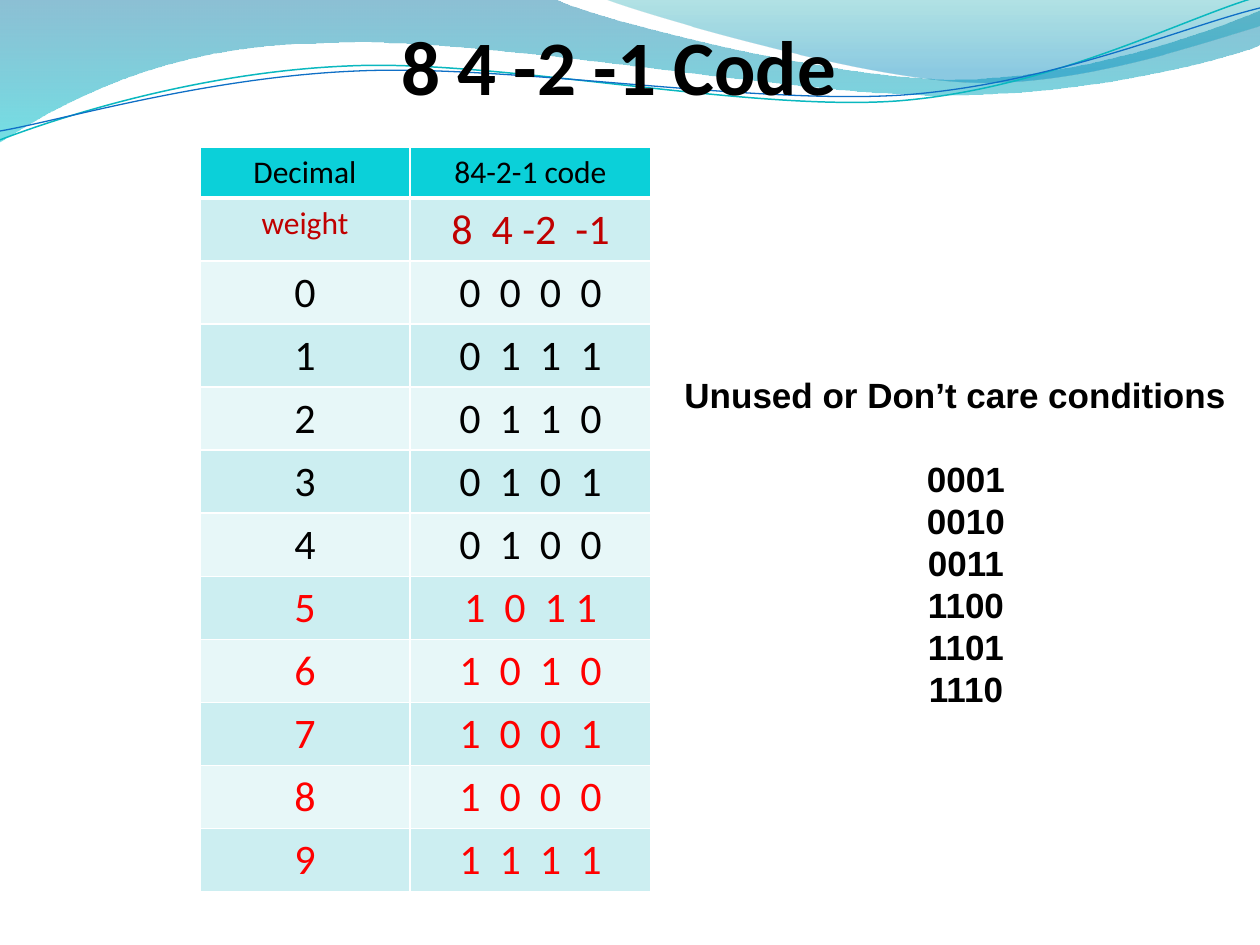
from math import cos, radians, sin

from lxml.etree import SubElement
from pptx import Presentation
from pptx.dml.color import RGBColor
from pptx.enum.text import PP_ALIGN as Align
from pptx.oxml.ns import qn
from pptx.util import Pt

SCALE = 914400 / 126
BLACK, WHITE, RED, DARK_RED = "000000", "FFFFFF", "FF0000", "C00000"
HEADER_FILL, BANDS = "0BD0D9", ("E7F7F8", "CCEEF1")
TILT = -2.7

# An outline is a start point, then steps: two numbers for a line, six for a curve.
WAVES = [
    dict(start=(0, -1),
         steps=[(554, -1), (600, 21, 837, 79, 955, 79), (1075, 79, 1207, 33, 1260, 11),
                (1261, 45), (1239, 55, 1096, 96, 940, 95), (784, 95, 481, 35, 324, 43),
                (163, 44, 58, 105, -1, 142), (0, -1)],
         stops=[(0, "0074A1", 45), (1, "00C6CF", 55)]),
    dict(start=(604, -1),
         steps=[(641, 14, 859, 78, 969, 82), (1079, 87, 1211, 40, 1260, 26), (1260, 0),
                (604, -1)],
         stops=[(0, "00A1A9", 30), (0.8, "008BBF", 45)]),
]
RIPPLES = [
    dict(start=(0, 140), center=(629, 72), color="0AB8BF", width=0.85,
         steps=[(60, 117, 199, 72, 349, 66), (498, 59, 747, 112, 898, 101),
                (1050, 89, 1182, 19, 1257, -3)]),
    dict(start=(0, 131), center=(629, 74), color="0F6FC6", width=0.75,
         steps=[(59, 121, 207, 77, 357, 71), (508, 64, 752, 105, 903, 95),
                (1053, 84, 1185, 26, 1260, 8)]),
]
TITLE = "8 4 -2 -1 Code"
HEADINGS = ("Decimal", "84-2-1 code")
WEIGHTS = ("weight", "8  4 -2  -1")
CODES = ["0  0  0  0", "0  1  1  1", "0  1  1  0", "0  1  0  1", "0  1  0  0",
         "1  0  1 1", "1  0  1  0", "1  0  0  1", "1  0  0  0", "1  1  1  1"]
COLUMNS, ROW_HEIGHT, TABLE_HEIGHT = (210, 241), 51, 745
UNUSED_HEADING = "Unused or Don’t care conditions"
UNUSED = ["0001", "0010", "0011", "1100", "1101", "1110"]


def px(length):
    """Turn pixels into EMU."""
    return round(length * SCALE)


def rgb(value):
    """Turn a hex string into a colour."""
    return RGBColor.from_string(value)


def turn(point, center, degrees):
    """Turn a point clockwise about a centre."""
    across, down = point[0] - center[0], point[1] - center[1]
    c, s = cos(radians(degrees)), sin(radians(degrees))
    return center[0] + across * c - down * s, center[1] + across * s + down * c


def add_outline(slide, start, steps, close, center=(0, 0), tilt=0):
    """Draw lines and cubic curves as one freeform without a shadow."""
    nodes = [start] + [step[i:i + 2] for step in steps for i in range(0, len(step), 2)]
    nodes = [turn(node, center, -tilt) for node in nodes]
    emu = [(px(x), px(y)) for x, y in nodes]
    builder = slide.shapes.build_freeform(*emu[0], scale=1.0)
    builder.add_line_segments(emu[1:], close=close)
    shape = builder.convert_to_shape()
    shape.shadow.inherit = False
    shape.rotation = tilt
    lines = iter(list(shape._element.spPr.iter(qn("a:lnTo"))))
    for step in steps:
        group = [next(lines) for _ in range(len(step) // 2)]
        if len(group) == 3:
            outline = group[0].getparent()
            curve = SubElement(outline, qn("a:cubicBezTo"))
            outline.replace(group[0], curve)
            for line in group:
                curve.append(line[0])
            for line in group[1:]:
                outline.remove(line)
    return shape


def add_wave(slide, start, steps, stops):
    """Draw a wave with a see-through gradient from top to bottom."""
    shape = add_outline(slide, start, steps, True)
    shape.line.fill.background()
    shape.fill.gradient()
    shape.fill.gradient_angle = 270
    for stop, (position, color, _) in zip(shape.fill.gradient_stops, stops):
        stop.position = position
        stop.color.rgb = rgb(color)
    colors = shape._element.spPr.iter(qn("a:srgbClr"))
    for node, (_, _, opacity) in zip(list(colors), stops):
        SubElement(node, qn("a:alpha"), val=str(opacity * 1000))


def add_ripple(slide, start, center, steps, color, width):
    """Draw a thin, slightly tilted curved line."""
    shape = add_outline(slide, start, steps, False, center, TILT)
    shape.fill.background()
    shape.line.color.rgb = rgb(color)
    shape.line.width = Pt(width)


def add_span(para, text, size, font="Calibri", color=BLACK, bold=False):
    """Add one formatted run."""
    span = para.add_run()
    span.text = text
    span.font.size, span.font.name, span.font.bold = Pt(size), font, bold
    span.font.color.rgb = rgb(color)


def fill_cell(cell, text, size, color, fill, bottom):
    """Write a centred cell with white borders."""
    para = cell.text_frame.paragraphs[0]
    para.alignment = Align.CENTER
    add_span(para, text, size, color=color)
    properties = cell._tc.get_or_add_tcPr()
    for side, width in (("L", 1), ("R", 1), ("T", 1), ("B", bottom)):
        border = SubElement(properties, qn(f"a:ln{side}"), w=str(Pt(width)))
        SubElement(SubElement(border, qn("a:solidFill")), qn("a:srgbClr"), val=WHITE)
    cell.fill.solid()
    cell.fill.fore_color.rgb = rgb(fill)


def add_code_table(slide):
    """Add the table of decimal digits and their codes."""
    rows = [(HEADINGS, (18, 18), BLACK), (WEIGHTS, (18, 24), DARK_RED)]
    rows += [((str(digit), code), (24, 24), BLACK if digit < 5 else RED)
             for digit, code in enumerate(CODES)]
    frame = slide.shapes.add_table(len(rows), len(COLUMNS), px(200), px(147),
                                   px(sum(COLUMNS)), px(TABLE_HEIGHT))
    table = frame.table
    for column, width in zip(table.columns, COLUMNS):
        column.width = px(width)
    for index, (texts, sizes, color) in enumerate(rows):
        header = index == 0
        table.rows[index].height = px(ROW_HEIGHT)
        fill = HEADER_FILL if header else BANDS[index % 2]
        for column, (text, size) in enumerate(zip(texts, sizes)):
            fill_cell(table.cell(index, column), text, size, color, fill, 3 if header else 1)
    frame.height = px(TABLE_HEIGHT)


def add_box(slide, left, top, width, height):
    """Add a wrapping text box and return its frame."""
    frame = slide.shapes.add_textbox(px(left), px(top), px(width), px(height)).text_frame
    frame.word_wrap = True
    return frame


def add_title(slide):
    """Add the slide title."""
    frame = add_box(slide, 401, 44, 697, 67)
    frame.margin_left = frame.margin_right = frame.margin_top = frame.margin_bottom = 0
    para = frame.paragraphs[0]
    para.line_spacing, para.space_before = Pt(38), Pt(1.9)
    add_span(para, TITLE, 44, bold=True)


def add_unused(slide):
    """Add the heading and list of unused codes."""
    frame = add_box(slide, 672, 367, 588, 351)
    for index, text in enumerate([UNUSED_HEADING] + UNUSED):
        para = frame.add_paragraph() if index else frame.paragraphs[0]
        para.alignment = Align.CENTER if index else Align.LEFT
        para.line_spacing = Pt(24)
        para.space_before = Pt(24 if index == 1 else 0)
        add_span(para, text, 20, "Arial", bold=True)


deck = Presentation()
deck.slide_width, deck.slide_height = px(1260), px(945)
slide = deck.slides.add_slide(deck.slide_layouts[6])
for wave in WAVES:
    add_wave(slide, **wave)
for ripple in RIPPLES:
    add_ripple(slide, **ripple)
add_title(slide)
add_code_table(slide)
add_unused(slide)
deck.save("out.pptx")
